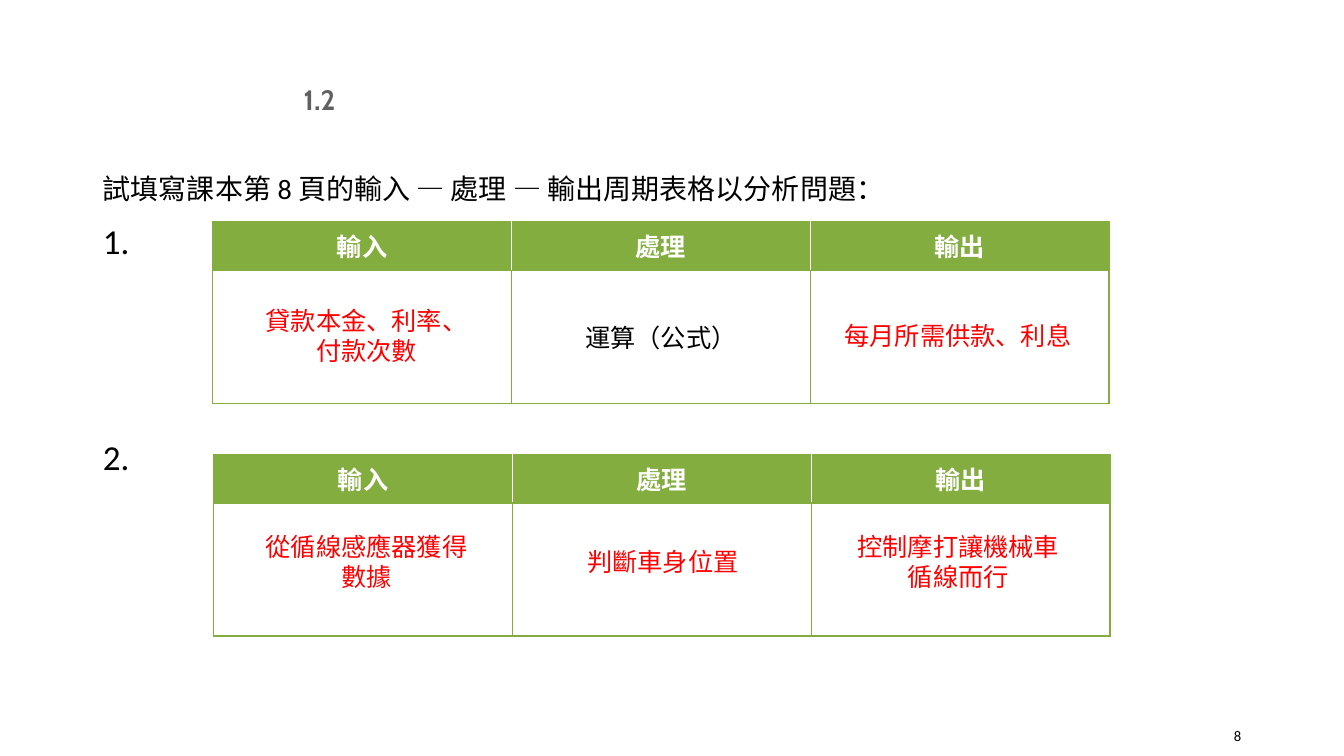
from lxml import etree
from pptx import Presentation
from pptx.dml.color import RGBColor
from pptx.enum.text import MSO_ANCHOR, MSO_AUTO_SIZE, PP_ALIGN
from pptx.oxml.ns import qn
from pptx.util import Inches, Pt

CENTER, RIGHT = PP_ALIGN.CENTER, PP_ALIGN.RIGHT
TOP, MIDDLE = MSO_ANCHOR.TOP, MSO_ANCHOR.MIDDLE
NO_AUTOFIT = MSO_AUTO_SIZE.NONE
TITLE_AND_CONTENT = 1

CJK = "Noto Sans CJK TC"
GREEN, WHITE, BLACK, RED, GREY = "84AD40", "FFFFFF", "000000", "FF0000", "606060"
HEADINGS = ["輸入", "處理", "輸出"]
COLUMN_WIDTH = 8.89 / 3
ROW_HEIGHTS = [0.48, 1.32]


def color(value):
    return RGBColor.from_string(value)


def place(shape, left, top, width, height):
    shape.left, shape.top = Inches(left), Inches(top)
    shape.width, shape.height = Inches(width), Inches(height)


def add_run(para, text, size, ink, font=CJK, bold=False):
    span = para.add_run()
    span.text = text
    span.font.size = Pt(size)
    span.font.name = font
    span.font.bold = bold
    span.font.color.rgb = color(ink)
    east_asian = etree.SubElement(span.font._element, qn("a:ea"))
    east_asian.set("typeface", CJK)


def add_text(slide, at, text, size=18, ink=RED, font=CJK, align=CENTER, anchor=TOP):
    box = slide.shapes.add_textbox(*map(Inches, at))
    frame = box.text_frame
    frame.word_wrap = True
    frame.vertical_anchor = anchor
    para = frame.paragraphs[0]
    para.alignment = align
    add_run(para, text, size, ink, font)


def fill_title(title, text):
    place(title, 2.7, 0.83, 0.94, 0.31)
    frame = title.text_frame
    frame.auto_size = NO_AUTOFIT
    frame.vertical_anchor = MIDDLE
    para = frame.paragraphs[0]
    para.alignment = CENTER
    add_run(para, text, 20, GREY, "Cabin", True)


def fill_body(body, lines):
    """Write (text, size, space before) lines without bullets."""
    place(body, 0.92, 1.58, 11.5, 5.31)
    frame = body.text_frame
    frame.auto_size = NO_AUTOFIT
    for index, (text, size, space) in enumerate(lines):
        para = frame.add_paragraph() if index else frame.paragraphs[0]
        properties = para._p.get_or_add_pPr()
        properties.set("marL", "0")
        properties.set("indent", "0")
        etree.SubElement(properties, qn("a:buNone"))
        para.line_spacing = 1.2
        para.space_before = Pt(space)
        add_run(para, text, size, BLACK, "Calibri")


def set_borders(cell, **sides):
    properties = cell._tc.get_or_add_tcPr()
    for side in "LRTB":
        line = etree.SubElement(properties, qn(f"a:ln{side}"), w=str(Pt(1)))
        solid = etree.SubElement(line, qn("a:solidFill"))
        etree.SubElement(solid, qn("a:srgbClr"), val=sides.get(side, GREEN))


def add_cycle_table(slide, left, top, process=""):
    """Add an input-process-output table whose process cell may be given."""
    rows = [HEADINGS, ["", process, ""]]
    frame = slide.shapes.add_table(
        2, 3, Inches(left), Inches(top),
        Inches(3 * COLUMN_WIDTH), Inches(sum(ROW_HEIGHTS)))
    table = frame.table
    for column in table.columns:
        column.width = Inches(COLUMN_WIDTH)
    for row, texts in enumerate(rows):
        table.rows[row].height = Inches(ROW_HEIGHTS[row])
        header = row == 0
        for column, text in enumerate(texts):
            cell = table.cell(row, column)
            cell.vertical_anchor = MIDDLE
            inner = WHITE if header else GREEN
            set_borders(cell, L=inner if column > 0 else GREEN,
                        R=inner if column < 2 else GREEN)
            if header:
                cell.fill.solid()
                cell.fill.fore_color.rgb = color(GREEN)
            else:
                cell.fill.background()
            if text:
                para = cell.text_frame.paragraphs[0]
                para.alignment = CENTER
                add_run(para, text, 18, WHITE if header else BLACK, bold=header)


def main():
    deck = Presentation()
    deck.slide_width, deck.slide_height = Inches(13.33), Inches(7.5)
    slide = deck.slides.add_slide(deck.slide_layouts[TITLE_AND_CONTENT])

    fill_title(slide.shapes.title, "1.2")
    fill_body(slide.placeholders[1], [
        ("試填寫課本第 8 頁的輸入 — 處理 — 輸出周期表格以分析問題：", 20, 0),
        ("1.", 25, 5),
        ("2.", 25, 118),
    ])
    add_text(slide, (11.57, 7.1, 0.84, 0.4), "8", 10.5, BLACK, "Calibri", RIGHT, MIDDLE)

    add_cycle_table(slide, 2.11, 2.2, "運算（公式）")
    add_cycle_table(slide, 2.12, 4.51)

    answers = [
        ((2.48, 2.98, 2.31, 0.71), "貸款本金、利率、付款次數"),
        ((8.25, 3.13, 2.5, 0.4), "每月所需供款、利息"),
        ((2.48, 5.22, 2.31, 0.71), "從循線感應器獲得數據"),
        ((5.42, 5.37, 2.31, 0.4), "判斷車身位置"),
        ((8.35, 5.22, 2.31, 0.71), "控制摩打讓機械車循線而行"),
    ]
    for at, text in answers:
        add_text(slide, at, text)

    deck.save("out.pptx")


if __name__ == "__main__":
    main()
